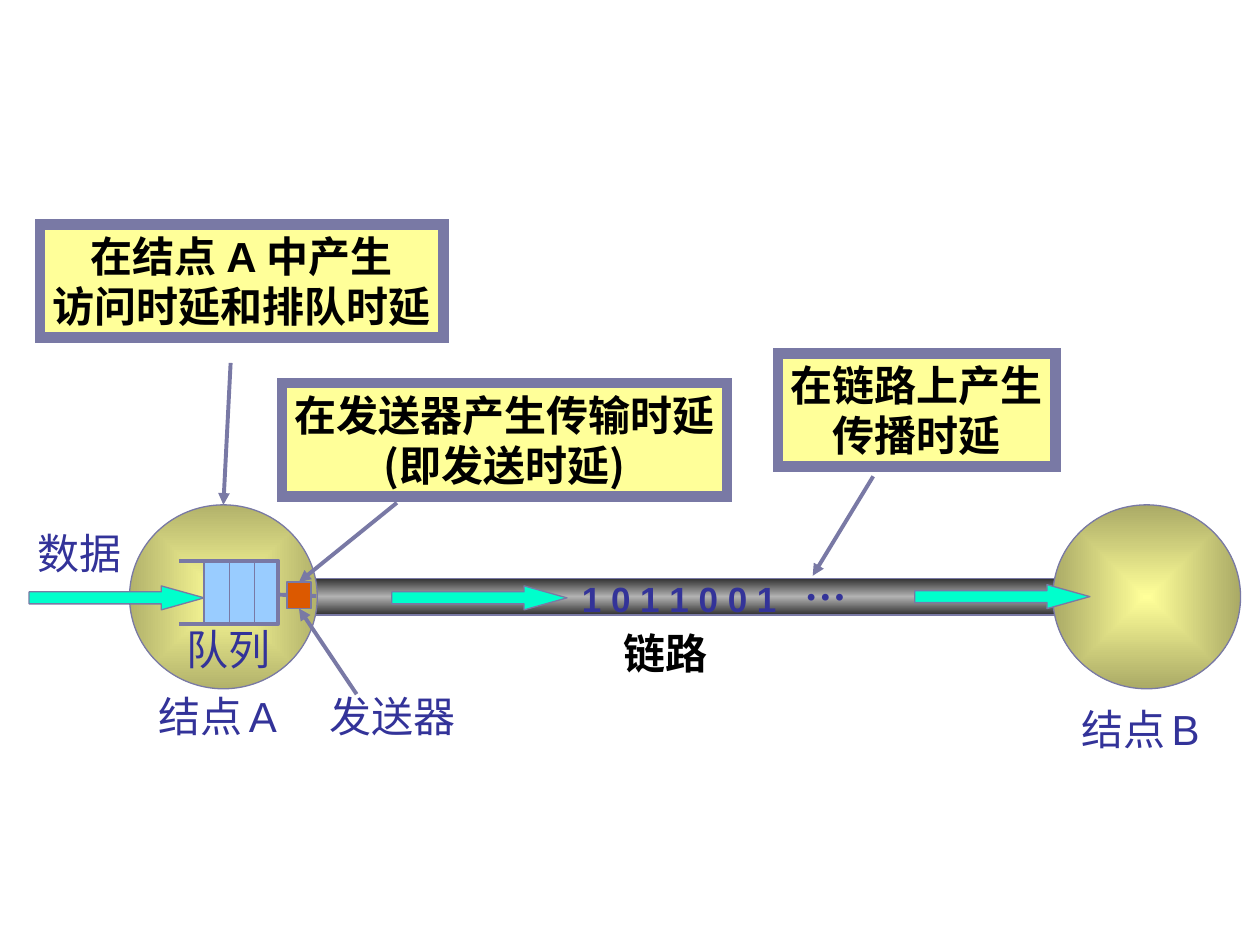
"""Build a slide showing where delays arise between node A and node B."""
from dataclasses import dataclass

from pptx import Presentation
from pptx.dml.color import RGBColor
from pptx.enum.shapes import MSO_CONNECTOR as Link, MSO_SHAPE as Kind
from pptx.enum.text import MSO_ANCHOR as Anchor, MSO_AUTO_SIZE as Fit, PP_ALIGN as Align
from pptx.oxml import parse_xml
from pptx.oxml.ns import nsdecls, qn
from pptx.oxml.xmlchemy import OxmlElement as Tag
from pptx.util import Pt


@dataclass(frozen=True)
class Theme:
    edge: str = "7979A5"
    note: str = "FFFF99"
    queue: str = "99CCFF"
    sender: str = "DC5900"
    flow: str = "00FFCC"
    ink: str = "333399"
    black: str = "000000"
    dark: str = "313131"
    light: str = "B2B2B2"
    rim_a: str = "B2B26B"
    rim_b: str = "AAAA66"
    thin: float = 0.75
    mid: float = 2.25
    thick: float = 6
    size: int = 24
    bits: int = 20
    gap: int = 16
    latin: str = "Arial"
    serif: str = "Times New Roman"
    han: str = "Noto Sans CJK SC"


look = Theme()
rgb = RGBColor.from_string


def write(para, text, size=look.size, tint=look.ink, bold=False, face=look.serif):
    run = para.add_run()
    run.text = text
    font = run.font
    font.size, font.bold = Pt(size), bold
    font.color.rgb = rgb(tint)
    font.name = look.latin if text.isascii() else face
    east = Tag("a:ea")
    east.set("typeface", look.han)
    run._r.rPr.append(east)


def draw_line(x1, y1, x2, y2, width=look.mid, head=False):
    line = deck.add_connector(Link.STRAIGHT, Pt(x1), Pt(y1), Pt(x2), Pt(y2))
    line.line.color.rgb = rgb(look.edge)
    line.line.width = Pt(width)
    props = line._element.spPr
    if head:
        tail = Tag("a:tailEnd")
        tail.set("type", "triangle")
        props.find(qn("a:ln")).append(tail)
    props.append(Tag("a:effectLst"))
    return line


show = Presentation()
show.slide_width, show.slide_height = Pt(720), Pt(540)
deck = show.slides.add_slide(show.slide_layouts[6]).shapes

band = '<a:lin ang="5400000" scaled="0"/>'
burst = '<a:path path="rect"><a:fillToRect l="50000" t="50000" r="50000" b="50000"/></a:path>'
nodes = []
for kind, x, y, w, h, tints, way in (
    (Kind.RECTANGLE, 173.5, 330.5, 434.9, 20.9, (look.dark, look.light, look.dark), band),
    (Kind.OVAL, 74, 288.5, 107.3, 105.1, (look.note, look.rim_a), burst),
    (Kind.OVAL, 601.6, 288.5, 107.3, 105.1, (look.note, look.rim_b), burst),
):
    node = deck.add_shape(kind, Pt(x), Pt(y), Pt(w), Pt(h))
    node.shadow.inherit = False
    step = 100000 // (len(tints) - 1)
    stops = "".join(
        f'<a:gs pos="{i * step}"><a:srgbClr val="{tint}"/></a:gs>' for i, tint in enumerate(tints)
    )
    node._element.spPr.insert(2, parse_xml(
        f'<a:gradFill {nsdecls("a")} rotWithShape="1"><a:gsLst>{stops}</a:gsLst>{way}</a:gradFill>'
    ))
    node.line.color.rgb = rgb(look.edge)
    node.line.width = Pt(look.thin)
    nodes.append(node)
pipe, node_a, node_b = nodes

draw_line(159.1, 339.8, 180.7, 340.6)

solids = []
for kind, x, y, w, h, tint in (
    (Kind.RECTANGLE, 116.6, 320.4, 42.5, 36, look.queue),
    (Kind.RECTANGLE, 164, 332.6, 13.7, 15.1, look.sender),
    (Kind.RIGHT_ARROW, 223.9, 334.8, 100.1, 13.7, look.flow),
    (Kind.RIGHT_ARROW, 16.6, 334.8, 100.1, 13.7, look.flow),
    (Kind.RIGHT_ARROW, 522.7, 334.1, 100.1, 13.7, look.flow),
):
    solid = deck.add_shape(kind, Pt(x), Pt(y), Pt(w), Pt(h))
    solid.shadow.inherit = False
    solid.fill.solid()
    solid.fill.fore_color.rgb = rgb(tint)
    solid.line.color.rgb = rgb(look.edge)
    solid.line.width = Pt(look.thin)
    if kind == Kind.RIGHT_ARROW:
        solid.adjustments[1] = 1.79
    solids.append(solid)
sender = solids[1]

trace = deck.build_freeform(Pt(102.2), Pt(320.4))
trace.add_line_segments([(Pt(x), Pt(y)) for x, y in ((159.1, 320.4), (159.1, 356.4), (102.2, 356.4))], close=False)
rail = trace.convert_to_shape()
rail.shadow.inherit = False
rail.fill.background()
rail.line.color.rgb = rgb(look.edge)
rail.line.width = Pt(look.mid)

for i in range(3):
    x = 116.6 + 14.4 * i
    draw_line(x, 320.4, x, 356.4, look.thin)

for x, y, w, h, rows in (
    (444.7, 201.9, 158.4, 64.8, (("在链路上产生",), ("传播时延",))),
    (161.3, 218.9, 254.2, 64.8, (("在发送器产生传输时延",), ("(即发送时延)",))),
    (23, 128.2, 230.4, 64.8, (("在结点 ", "A ", "中产生"), ("访问时延和排队时延",))),
):
    note = deck.add_shape(Kind.RECTANGLE, Pt(x), Pt(y), Pt(w), Pt(h))
    note.shadow.inherit = False
    note.fill.solid()
    note.fill.fore_color.rgb = rgb(look.note)
    note.line.color.rgb = rgb(look.edge)
    note.line.width = Pt(look.thick)
    join = Tag("a:miter")
    join.set("lim", "800000")
    note._element.spPr.find(qn("a:ln")).append(join)
    frame = note.text_frame
    frame.word_wrap, frame.auto_size = False, Fit.SHAPE_TO_FIT_TEXT
    frame.vertical_anchor = Anchor.TOP
    for i, row in enumerate(rows):
        para = frame.add_paragraph() if i else frame.paragraphs[0]
        para.alignment = Align.CENTER
        for text in row:
            write(para, text, tint=look.black, bold=True, face=look.han)

draw_line(499, 272.2, 464.4, 329, head=True)
draw_line(226.8, 287.3, 171, 332.6, head=True).end_connect(sender, 0)
draw_line(203.8, 396.7, 171, 347.7, head=True).end_connect(sender, 2)
draw_line(131.8, 207.4, 127.8, 288.5, head=True).end_connect(node_a, 0)

for x, y, w, h, parts, style in (
    (325.4, 326.2, 126, 31.7, ("1 0 1 1 0 0 1",), {"size": look.bits, "bold": True}),
    (452.6, 315.4, 40, 36, ("…",), {"bold": True}),
    (181.4, 391, 90, 36, ("发送器",), {}),
    (99.4, 353, 66, 36, ("队列",), {}),
    (610.9, 398.2, 90, 36, ("结点", " ", "B"), {}),
    (83.5, 391.3, 90, 36, ("结点", " ", "A"), {}),
    (14.4, 298.1, 66, 36, ("数据",), {}),
    (349, 355, 66, 36, ("链路",), {"tint": look.black, "bold": True}),
):
    frame = deck.add_textbox(Pt(x), Pt(y), Pt(w), Pt(h)).text_frame
    frame.word_wrap, frame.auto_size = False, Fit.SHAPE_TO_FIT_TEXT
    for text in parts:
        write(frame.paragraphs[0], text, **({"size": look.gap} if text == " " else style))

show.save("out.pptx")
